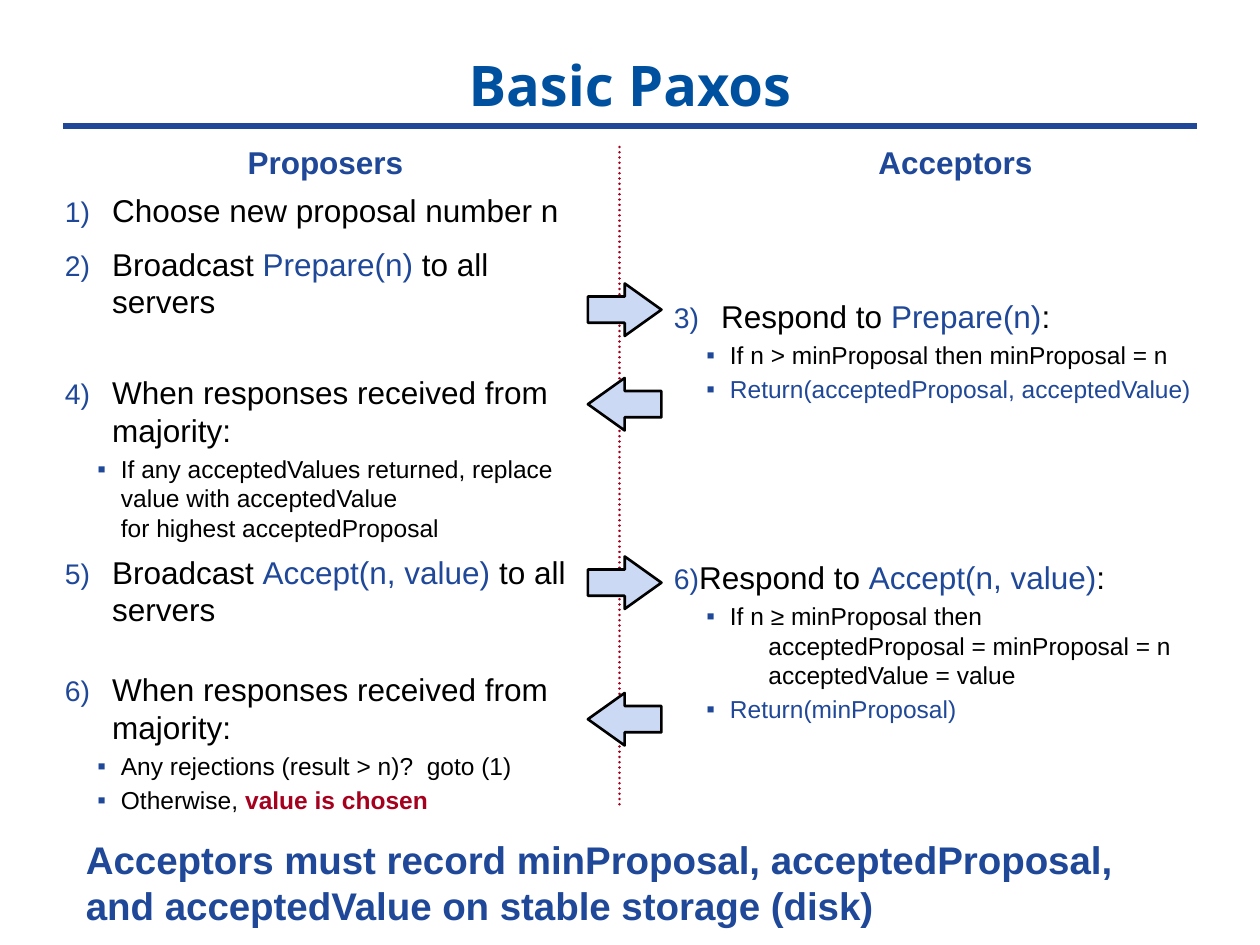
from dataclasses import dataclass
from typing import Optional
from lxml.etree import SubElement
from pptx import Presentation
from pptx.dml.color import RGBColor
from pptx.enum.dml import MSO_LINE_DASH_STYLE
from pptx.enum.shapes import MSO_CONNECTOR, MSO_SHAPE
from pptx.enum.text import MSO_ANCHOR, MSO_AUTO_SIZE, PP_ALIGN
from pptx.oxml.ns import qn
from pptx.util import Pt

BLUE = RGBColor(0x1F, 0x48, 0x99)
TITLE = RGBColor(0x00, 0x50, 0xA0)
RED = RGBColor(0xA5, 0x00, 0x1E)
PALE = RGBColor(0xCC, 0xD9, 0xF4)
BLACK = RGBColor(0, 0, 0)
WHITE = RGBColor(255, 255, 255)


@dataclass
class Run:
    text: str
    color: RGBColor = BLACK
    bold: bool = False


@dataclass
class Para:
    runs: list[Run]
    size: float = 18
    before: float = 0
    align: PP_ALIGN = PP_ALIGN.LEFT
    margin: float = 0
    indent: float = 0
    number: Optional[int] = None
    bullet: str = ""
    tab: float = 0


@dataclass
class Arrow:
    top: float
    back: bool


def head(text: str) -> Para:
    return Para([Run(text, BLUE, True)], align=PP_ALIGN.CENTER)


def step(number: int, before: float, *runs: Run, margin: float = 27) -> Para:
    return Para(list(runs), before=before, margin=margin, indent=-27, number=number)


def point(*runs: Run, tab: float = 0) -> Para:
    return Para(list(runs), size=14, before=2.8, margin=32, indent=-13.5,
                bullet="▪", tab=tab)


def mark(item: Para, props) -> None:
    """Set indents, bullet or number, and tab stop."""
    props.set("marL", str(Pt(item.margin)))
    props.set("indent", str(Pt(item.indent)))
    if item.bullet or item.number:
        color = SubElement(props, qn("a:buClr"))
        SubElement(color, qn("a:srgbClr"), val=str(BLUE))
    if item.number:
        SubElement(props, qn("a:buSzPct"), val="90000")
    if item.bullet or item.number:
        SubElement(props, qn("a:buFont"), typeface="Arial")
    if item.number:
        SubElement(props, qn("a:buAutoNum"), type="arabicParenR", startAt=str(item.number))
    elif item.bullet:
        SubElement(props, qn("a:buChar"), char=item.bullet)
    if item.tab:
        tabs = SubElement(props, qn("a:tabLst"))
        SubElement(tabs, qn("a:tab"), pos=str(Pt(item.tab)), algn="l")


def write(frame, paras: list[Para], *, font: str = "Arial",
          anchor: MSO_ANCHOR = MSO_ANCHOR.TOP) -> None:
    frame.word_wrap = True
    frame.auto_size = MSO_AUTO_SIZE.NONE
    frame.vertical_anchor = anchor
    for i, item in enumerate(paras):
        para = frame.add_paragraph() if i else frame.paragraphs[0]
        para.alignment = item.align
        para.level = 1 if item.bullet else 0
        para.line_spacing = 1.0
        para.space_before = Pt(item.before)
        mark(item, para._p.get_or_add_pPr())
        for part in item.runs:
            for j, line in enumerate(part.text.split("\n")):
                if j:
                    para.add_line_break()
                run = para.add_run()
                run.text = line
                run.font.name = font
                run.font.size = Pt(item.size)
                run.font.bold = part.bold
                run.font.color.rgb = part.color


def rule(slide, x1: float, y1: float, x2: float, y2: float, color: RGBColor,
         width: float, dash: Optional[MSO_LINE_DASH_STYLE] = None) -> None:
    line = slide.shapes.add_connector(MSO_CONNECTOR.STRAIGHT, Pt(x1), Pt(y1), Pt(x2), Pt(y2))
    line.line.color.rgb = color
    line.line.width = Pt(width)
    if dash:
        line.line.dash_style = dash
        line.line._get_or_add_ln().set("cap", "rnd")
    SubElement(line._element.spPr, qn("a:effectLst"))


def draw(slide, arrow: Arrow) -> None:
    shape = slide.shapes.add_shape(MSO_SHAPE.RIGHT_ARROW, Pt(336), Pt(arrow.top), Pt(42), Pt(30))
    shape.adjustments[0] = 0.5
    shape.adjustments[1] = 0.7
    shape.shadow.inherit = False
    shape.fill.solid()
    shape.fill.fore_color.rgb = PALE
    shape.line.color.rgb = BLACK
    shape.line.width = Pt(1.5)
    if arrow.back:
        shape._element.spPr.get_or_add_xfrm().set("flipH", "1")


def box(slide, x: float, y: float, w: float, h: float, paras: list[Para]):
    shape = slide.shapes.add_textbox(Pt(x), Pt(y), Pt(w), Pt(h))
    write(shape.text_frame, paras)
    return shape


ACCEPT = [
    head("Acceptors"),
    step(3, 66.7, Run("Respond to "), Run("Prepare(n)", BLUE), Run(":")),
    point(Run("If n > minProposal then minProposal = n")),
    point(Run("Return(acceptedProposal, acceptedValue)", BLUE)),
    step(6, 88.4, Run("Respond to "), Run("Accept(n, value)", BLUE), Run(":"), margin=13.5),
    point(Run("If n ≥ minProposal then\n\tacceptedProposal = minProposal = n"
              "\n\tacceptedValue = value"), tab=54),
    point(Run("Return(minProposal)", BLUE)),
]
PROPOSE = [
    head("Proposers"),
    step(1, 6, Run("Choose new proposal number n")),
    step(1, 9, Run("Broadcast "), Run("Prepare(n)", BLUE), Run(" to all servers")),
    step(4, 30.4, Run("When responses received from majority:")),
    point(Run("If any acceptedValues returned, replace value with acceptedValue"
              "\nfor highest acceptedProposal")),
    step(5, 6, Run("Broadcast "), Run("Accept(n, value) ", BLUE), Run("to all servers")),
    step(5, 24, Run("When responses received from majority:")),
    point(Run("Any rejections (result > n)?  goto (1)")),
    point(Run("Otherwise, "), Run("value is chosen", RED, True)),
]
NOTE = [Para([Run("Acceptors must record minProposal, acceptedProposal, and "
                  "acceptedValue on stable storage (disk)", BLUE, True)], size=22)]
ARROWS = [Arrow(162, False), Arrow(216, True), Arrow(318, False), Arrow(396, True)]

deck = Presentation()
deck.slide_width, deck.slide_height = Pt(720), Pt(540)
slide = deck.slides.add_slide(deck.slide_layouts[5])

# Title and rules
title = slide.shapes.title
title.left, title.top, title.width, title.height = Pt(36), Pt(24), Pt(648), Pt(48)
write(title.text_frame, [Para([Run("Basic Paxos", TITLE, True)], size=32,
                              align=PP_ALIGN.CENTER)],
      font="Open Sans", anchor=MSO_ANCHOR.MIDDLE)
rule(slide, 36, 72, 684, 72, BLUE, 4)
rule(slide, 354, 84, 354, 462, RED, 1.5, MSO_LINE_DASH_STYLE.ROUND_DOT)

# Two columns with messages between them
box(slide, 378, 78, 336, 432, ACCEPT)
for arrow in ARROWS:
    draw(slide, arrow)

# Closing note
note = box(slide, 42, 474, 642, 60.5, NOTE)
note.fill.solid()
note.fill.fore_color.rgb = WHITE
box(slide, 30, 78, 312, 444, PROPOSE)

deck.save("out.pptx")
